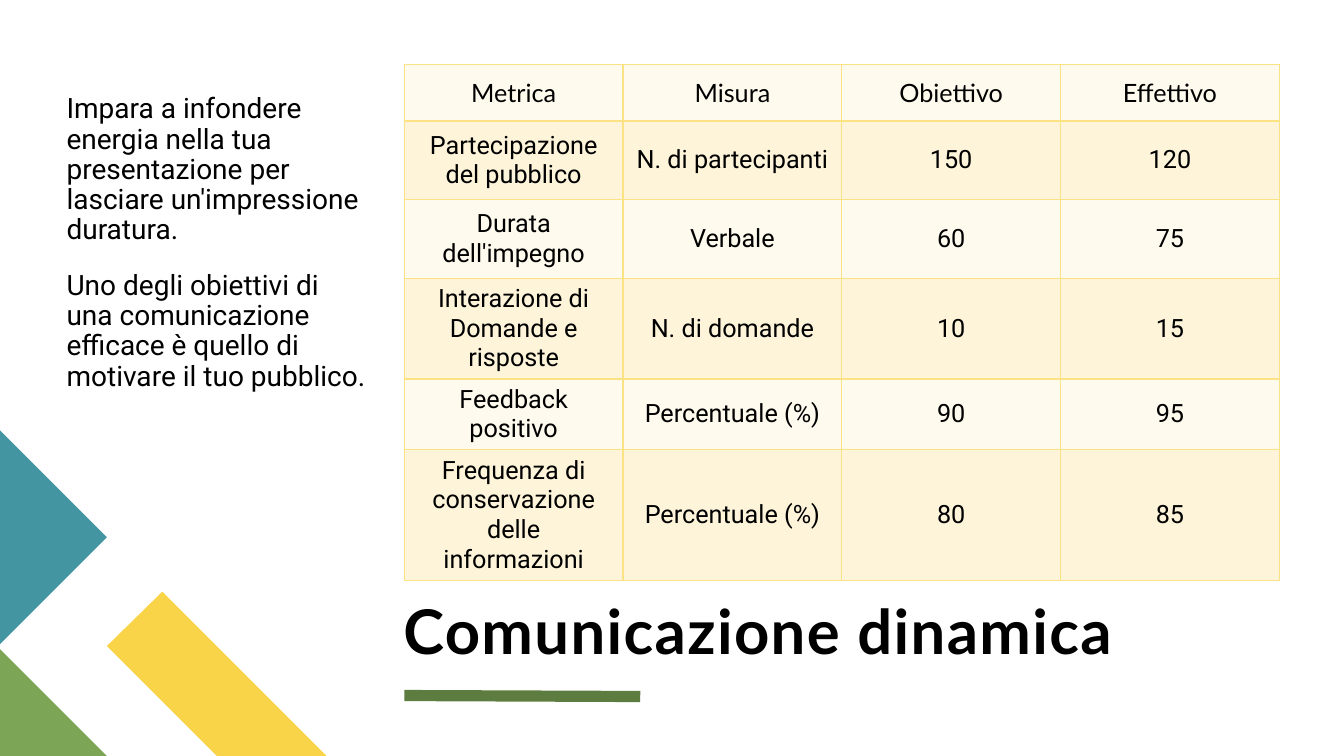
from lxml import etree
from pptx import Presentation
from pptx.dml.color import RGBColor
from pptx.enum.shapes import MSO_CONNECTOR
from pptx.enum.text import MSO_ANCHOR, PP_ALIGN
from pptx.oxml import parse_xml
from pptx.oxml.ns import nsdecls, qn
from pptx.util import Pt

PX = 9144  # 100 px to the inch
STRAIGHT = MSO_CONNECTOR.STRAIGHT
MIDDLE, BOTTOM = MSO_ANCHOR.MIDDLE, MSO_ANCHOR.BOTTOM
CENTER = PP_ALIGN.CENTER

THEME = {
    "ink": "000000", "yellow": "F9D448", "green": "7CA655", "teal": "4495A2",
    "rule": "5D7D40", "border": "FBE284", "light": "FEFAED", "dark": "FDF4D9",
    "head": "Lato", "body": "Roboto",
    "title": 44, "text": 20, "cell": 18,
}


def style(para, face, size, bold=False):
    font = para.font
    font.name, font.size, font.bold = THEME[face], Pt(THEME[size]), bold
    font.color.rgb = RGBColor.from_string(THEME["ink"])


def add_box(left, top, width, height, insets):
    """Add a wrapping text box; insets run left, top, right, bottom."""
    box = slide.shapes.add_textbox(left * PX, top * PX, width * PX, height * PX)
    frame = box.text_frame
    frame.word_wrap = True
    (frame.margin_left, frame.margin_top,
     frame.margin_right, frame.margin_bottom) = [n * PX for n in insets]
    return frame


prs = Presentation()
prs.slide_width, prs.slide_height = 1333 * PX, 750 * PX
slide = prs.slides.add_slide(prs.slide_layouts[6])

# Corner shapes
corner = [
    ("yellow", [(324, 750), (215, 750), (106, 641), (161, 587)]),
    ("green", [(106, 750), (0, 750), (0, 644)]),
    ("teal", [(0, 427), (106, 533), (0, 639)]),
]
for color, points in corner:
    build = slide.shapes.build_freeform(*points[0], scale=PX)
    build.add_line_segments(points[1:], close=True)
    shape = build.convert_to_shape()
    shape.shadow.inherit = False
    shape.fill.solid()
    shape.fill.fore_color.rgb = RGBColor.from_string(THEME[color])
    shape.line.fill.background()

# Rule under the title
rule = slide.shapes.add_connector(STRAIGHT, 401 * PX, 690 * PX, 635 * PX, 691 * PX)
rule.line.width = Pt(8)
rule.line.color.rgb = RGBColor.from_string(THEME["rule"])
etree.SubElement(rule._element.spPr, qn("a:effectLst"))

# Title
frame = add_box(400, 510, 868, 151, (0, 0, 0, 0))
frame.vertical_anchor = BOTTOM
title = frame.paragraphs[0]
title.line_spacing = 0.8
run = title.add_run()
run.text = "Comunicazione dinamica"
run._r.get_or_add_rPr().set("spc", "100")
style(title, "head", "title", bold=True)

# Side text
frame = add_box(66, 64, 309, 437, (0, 30, 10, 5))
frame.text = (
    "Impara a infondere energia nella tua presentazione per lasciare "
    "un'impressione duratura.\n"
    "Uno degli obiettivi di una comunicazione efficace è quello di "
    "motivare il tuo pubblico."
)
for para in frame.paragraphs:
    para.line_spacing = 0.9
    para.space_before = Pt(18)
    style(para, "body", "text")

# Metrics table
rows = [
    ("Metrica", "Misura", "Obiettivo", "Effettivo"),
    ("Partecipazione del pubblico", "N. di partecipanti", "150", "120"),
    ("Durata dell'impegno", "Verbale", "60", "75"),
    ("Interazione di Domande e risposte", "N. di domande", "10", "15"),
    ("Feedback positivo", "Percentuale (%)", "90", "95"),
    ("Frequenza di conservazione delle informazioni", "Percentuale (%)", "80", "85"),
]
heights = [56, 78, 78, 56, 56, 111]
table = slide.shapes.add_table(
    len(rows), len(rows[0]), 401 * PX, 64 * PX, 868 * PX, sum(heights) * PX
).table
table.first_row = table.horz_banding = False
for col in table.columns:
    col.width = 217 * PX

for r, (row, height) in enumerate(zip(rows, heights)):
    table.rows[r].height = height * PX
    for c, text in enumerate(row):
        cell = table.cell(r, c)
        cell.text = text
        cell.vertical_anchor = MIDDLE
        para = cell.text_frame.paragraphs[0]
        para.alignment = CENTER
        style(para, "body" if r else "head", "cell")
        props = cell._tc.get_or_add_tcPr()
        for side in "LRTB":
            props.append(parse_xml(
                f'<a:ln{side} {nsdecls("a")} w="{Pt(1)}"><a:solidFill>'
                f'<a:srgbClr val="{THEME["border"]}"/></a:solidFill></a:ln{side}>'
            ))
        cell.fill.solid()
        band = THEME["dark" if r % 2 else "light"]
        cell.fill.fore_color.rgb = RGBColor.from_string(band)

prs.save("out.pptx")
